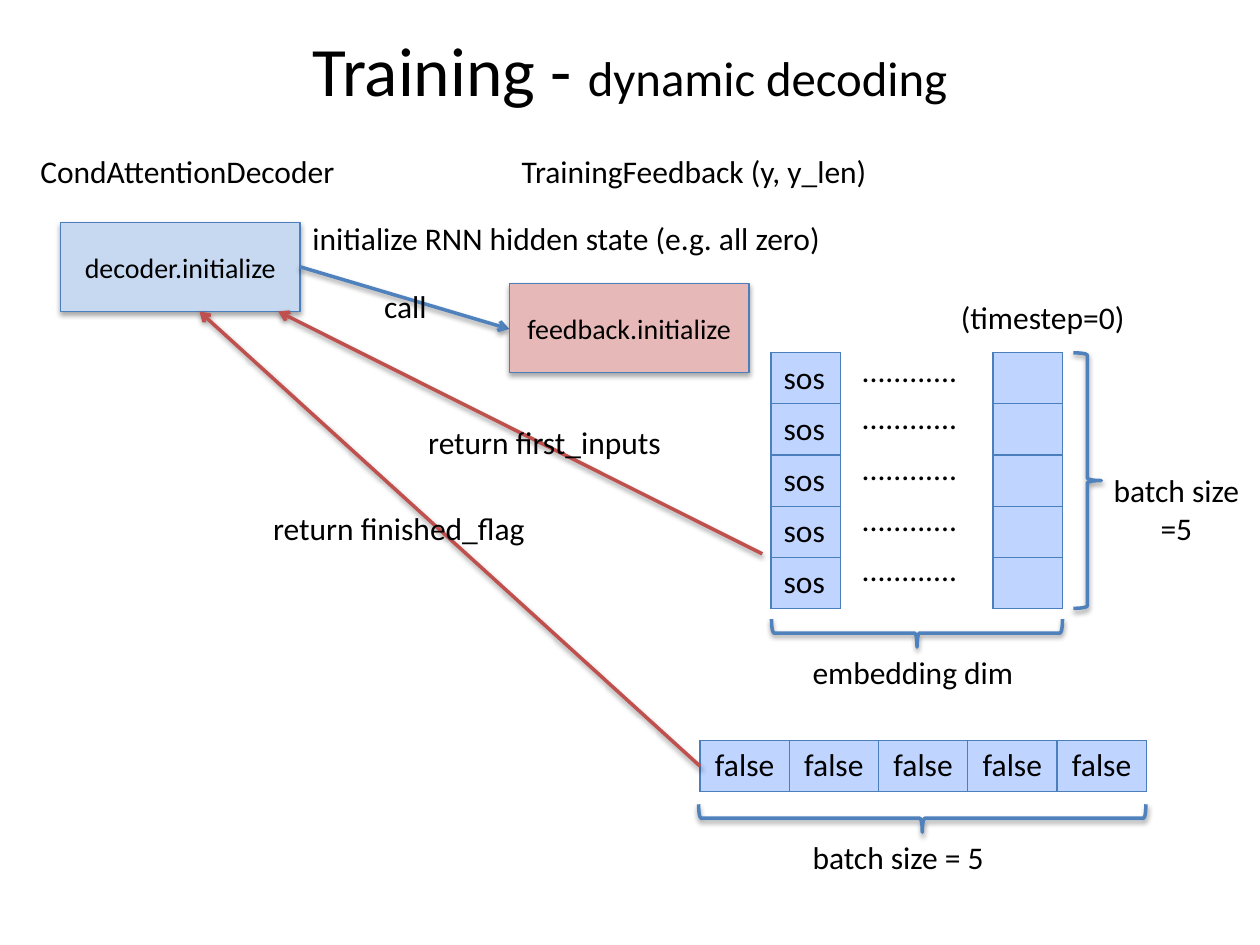
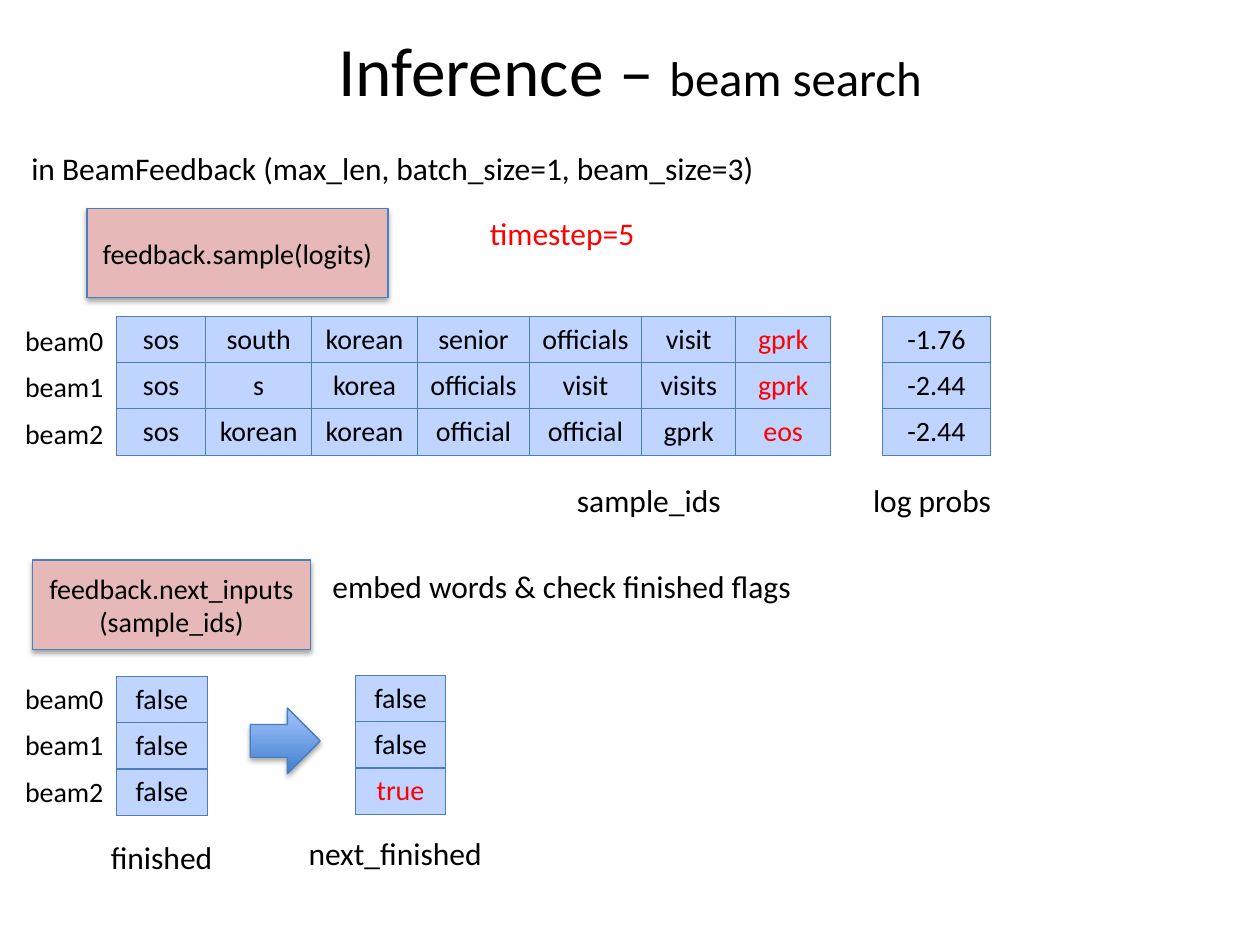
"""Build two slides on dynamic decoding in training and beam search in inference."""
from lxml.etree import SubElement
from pptx import Presentation
from pptx.dml.color import RGBColor
from pptx.enum.shapes import MSO_CONNECTOR as Connector, MSO_SHAPE as Shape
from pptx.enum.text import MSO_ANCHOR as Anchor, PP_ALIGN as Align
from pptx.oxml.ns import qn
from pptx.util import Pt

COLORS = {
    "text": "000000",
    "accent": "FF0000",
    "decoder": "C6D9F1",
    "feedback": "E6B9B8",
    "cell": "BFD4FF",
    "edge": "4B7EBC",
    "call": "4F81BD",
    "answer": "C0504D",
    "arrow_dark": "3F80CE",
    "arrow_light": "A4C4FF",
}
FONT = "Calibri"
LINE_HEIGHT = 29.2
BEAM_HEIGHT = 26.4
BEAMS = 3
BATCH = 5


def color(name):
    return RGBColor.from_string(COLORS[name])


def apply(target, values):
    for name, value in values.items():
        setattr(target, name, value)


def write(frame, lines, size, ink="text", aligns=(Align.LEFT,)):
    for index, line in enumerate(lines):
        para = frame.paragraphs[0] if index == 0 else frame.add_paragraph()
        para.alignment = aligns[min(index, len(aligns) - 1)]
        add_span(para, line, size, ink)


def add_span(para, text, size, ink="text"):
    span = para.add_run()
    span.text = text
    apply(span.font, {"name": FONT, "size": Pt(size)})
    span.font.color.rgb = color(ink)


def add_title(page, main, detail):
    box = page.shapes.add_textbox(Pt(36), Pt(21.6), Pt(648), Pt(36))
    apply(box.text_frame, {"word_wrap": True, "vertical_anchor": Anchor.MIDDLE})
    para = box.text_frame.paragraphs[0]
    para.alignment = Align.CENTER
    add_span(para, main, 39.6)
    add_span(para, detail, 27.9)


def add_label(page, left, top, width, *lines, size=18, wrap=True, ink="text",
              aligns=(Align.LEFT,)):
    height = LINE_HEIGHT if size == 18 else BEAM_HEIGHT
    box = page.shapes.add_textbox(Pt(left), Pt(top), Pt(width), Pt(height * len(lines)))
    box.text_frame.word_wrap = wrap
    write(box.text_frame, lines, size, ink, aligns)


def cast_shadow(shape, distance, opacity):
    effects = SubElement(shape._element.spPr, qn("a:effectLst"))
    shadow = SubElement(effects, qn("a:outerShdw"), blurRad=str(Pt(3.1)),
                        dist=str(Pt(distance)), dir="5400000", rotWithShape="0")
    black = SubElement(shadow, qn("a:srgbClr"), val=COLORS["text"])
    SubElement(black, qn("a:alpha"), val=str(opacity * 1000))


def draw_line(shape, ink, width):
    shape.line.color.rgb = color(ink)
    shape.line.width = Pt(width)


def add_step(page, left, top, width, fill, *lines):
    box = page.shapes.add_shape(Shape.RECTANGLE, Pt(left), Pt(top), Pt(width), Pt(51))
    box.fill.solid()
    box.fill.fore_color.rgb = color(fill)
    draw_line(box, "edge", 0.75)
    cast_shadow(box, 1.8, 35)
    apply(box.text_frame, {"word_wrap": True, "vertical_anchor": Anchor.MIDDLE})
    write(box.text_frame, lines, 16, aligns=(Align.CENTER,))


def add_brace(page, left, top, length, rotation=0):
    brace = page.shapes.add_shape(Shape.RIGHT_BRACE, Pt(left), Pt(top), Pt(16), Pt(length))
    brace.rotation = rotation
    brace.fill.background()
    draw_line(brace, "call", 2)
    cast_shadow(brace, 1.6, 38)


def add_arrow(page, start, end, ink):
    points = [Pt(value) for value in (*start, *end)]
    arrow = page.shapes.add_connector(Connector.STRAIGHT, *points)
    draw_line(arrow, ink, 2)
    SubElement(arrow._element.spPr.find(qn("a:ln")), qn("a:tailEnd"), type="arrow")
    cast_shadow(arrow, 1.6, 38)


def add_block_arrow(page, left, top, width, height):
    arrow = page.shapes.add_shape(Shape.RIGHT_ARROW, Pt(left), Pt(top), Pt(width), Pt(height))
    arrow.fill.gradient()
    arrow.fill.gradient_angle = 90
    for stop, ink in zip(arrow.fill.gradient_stops, ("arrow_dark", "arrow_light")):
        stop.color.rgb = color(ink)
    draw_line(arrow, "edge", 0.75)
    cast_shadow(arrow, 1.8, 35)


def style_cell(cell):
    properties = cell._tc.get_or_add_tcPr()
    for side in ("a:lnL", "a:lnR", "a:lnT", "a:lnB"):
        border = SubElement(properties, qn(side), w=str(Pt(0.75)))
        SubElement(SubElement(border, qn("a:solidFill")), qn("a:srgbClr"), val=COLORS["edge"])
    cell.fill.solid()
    cell.fill.fore_color.rgb = color("cell")


def add_grid(page, left, top, widths, rows, size=16, align=Align.CENTER, marked=()):
    height = LINE_HEIGHT if size == 18 else BEAM_HEIGHT
    frame = page.shapes.add_table(len(rows), len(widths), Pt(left), Pt(top),
                                  Pt(sum(widths)), Pt(height * len(rows)))
    table = frame.table
    apply(table, {"first_row": False, "horz_banding": False})
    for column, width in zip(table.columns, widths):
        column.width = Pt(width)
    for y, row in enumerate(rows):
        table.rows[y].height = Pt(height)
        for x, text in enumerate(row):
            cell = table.cell(y, x)
            style_cell(cell)
            if text:
                ink = "accent" if (y, x) in marked else "text"
                write(cell.text_frame, [text], size, ink, (align,))


def add_beam_names(page, top):
    for index in range(BEAMS):
        add_label(page, 7.2, top + index * BEAM_HEIGHT, 60, f"beam{index}", size=16)


def build_training(page):
    add_title(page, "Training - ", "dynamic decoding")
    add_label(page, 16, 83.5, 185, "CondAttentionDecoder", wrap=False)
    add_label(page, 291, 83.5, 217, "TrainingFeedback (y, y_len)", wrap=False)

    add_step(page, 34.5, 127, 137, "decoder", "decoder.initialize")
    add_arrow(page, (171.5, 152.5), (291, 188), "call")
    add_step(page, 291, 162, 137, "feedback", "feedback.initialize")
    add_label(page, 171.5, 121.7, 307, "initialize RNN hidden state (e.g. all zero)")
    add_label(page, 212.4, 160.7, 40, "call")

    add_grid(page, 440.6, 201.6, [39.6], [["sos"]] * BATCH, 18, Align.LEFT)
    add_grid(page, 567.4, 201.6, [39.6], [[""]] * BATCH, 18)
    for top in (197, 224, 253, 282, 311):
        add_label(page, 485.3, top, 70.6, "............")
    add_label(page, 542, 167, 143, "(timestep=0)")
    add_brace(page, 613.4, 201.6, 146)
    add_label(page, 629.3, 265.7, 88, "batch size", "=5", wrap=False,
              aligns=(Align.LEFT, Align.CENTER))
    add_brace(page, 516, 278.6, 166.3, 90)
    add_label(page, 457.2, 369.4, 143, "embedding dim")

    add_arrow(page, (435.6, 316.5), (159, 178), "answer")
    add_label(page, 237.6, 238.3, 162, "return first_inputs")

    add_grid(page, 400, 423.2, [51] * BATCH, [["false"] * BATCH], 18)
    add_brace(page, 519, 339.8, 255.6, 90)
    add_label(page, 457.2, 475.2, 143, "batch size = 5")
    add_arrow(page, (400, 437.8), (114, 178), "answer")
    add_label(page, 149, 287.3, 162, "return finished_flag")


def build_inference(page):
    add_title(page, "Inference – ", "beam search")
    add_label(page, 10.8, 81.4, 433, "in BeamFeedback (max_len, batch_size=1, beam_size=3)",
              wrap=False)
    add_step(page, 49.7, 119, 172, "feedback", "feedback.sample(logits)")
    add_label(page, 272.9, 118.8, 98.6, "timestep=5", wrap=False, ink="accent")

    beams = [
        ["sos", "south", "korean", "senior", "officials", "visit", "gprk"],
        ["sos", "s", "korea", "officials", "visit", "visits", "gprk"],
        ["sos", "korean", "korean", "official", "official", "gprk", "eos"],
    ]
    newest = [(row, len(beams[0]) - 1) for row in range(BEAMS)]
    add_beam_names(page, 181.5)
    add_grid(page, 66.6, 180.8, [51, 60.5, 60.5, 64, 64, 54, 54], beams, marked=newest)
    add_grid(page, 504.4, 180.8, [61.5], [["-1.76"], ["-2.44"], ["-2.44"]])
    add_label(page, 322.6, 271.4, 97, "sample_ids", wrap=False)
    add_label(page, 491.8, 271.4, 83.5, "log probs", wrap=False)

    add_step(page, 18.5, 320, 159, "feedback", "feedback.next_inputs", "(sample_ids)")
    add_label(page, 182.9, 320.4, 279.4, "embed words & check finished flags", wrap=False)
    add_beam_names(page, 386)
    add_grid(page, 66.6, 386.6, [51.8], [["false"]] * BEAMS)
    add_block_arrow(page, 143, 404.6, 40, 37.6)
    add_grid(page, 203, 386, [51.8], [["false"], ["false"], ["true"]], marked=[(2, 0)])
    add_label(page, 56.2, 475.2, 73.4, "finished", wrap=False)
    add_label(page, 169.2, 473, 114.5, "next_finished", wrap=False)


def main():
    deck = Presentation()
    apply(deck, {"slide_width": Pt(720), "slide_height": Pt(540)})
    for build in (build_training, build_inference):
        build(deck.slides.add_slide(deck.slide_layouts[6]))
    deck.save("out.pptx")


main()
